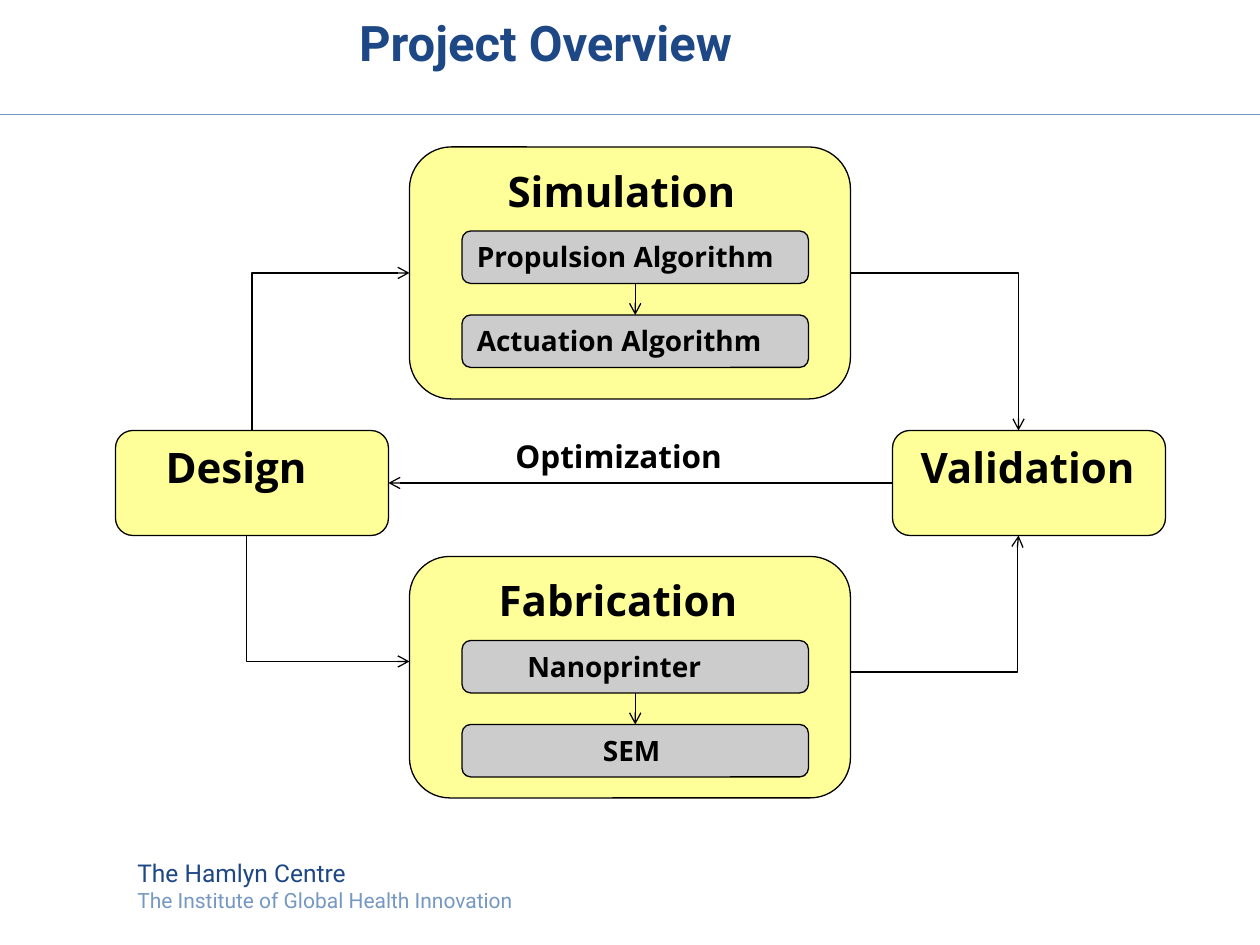
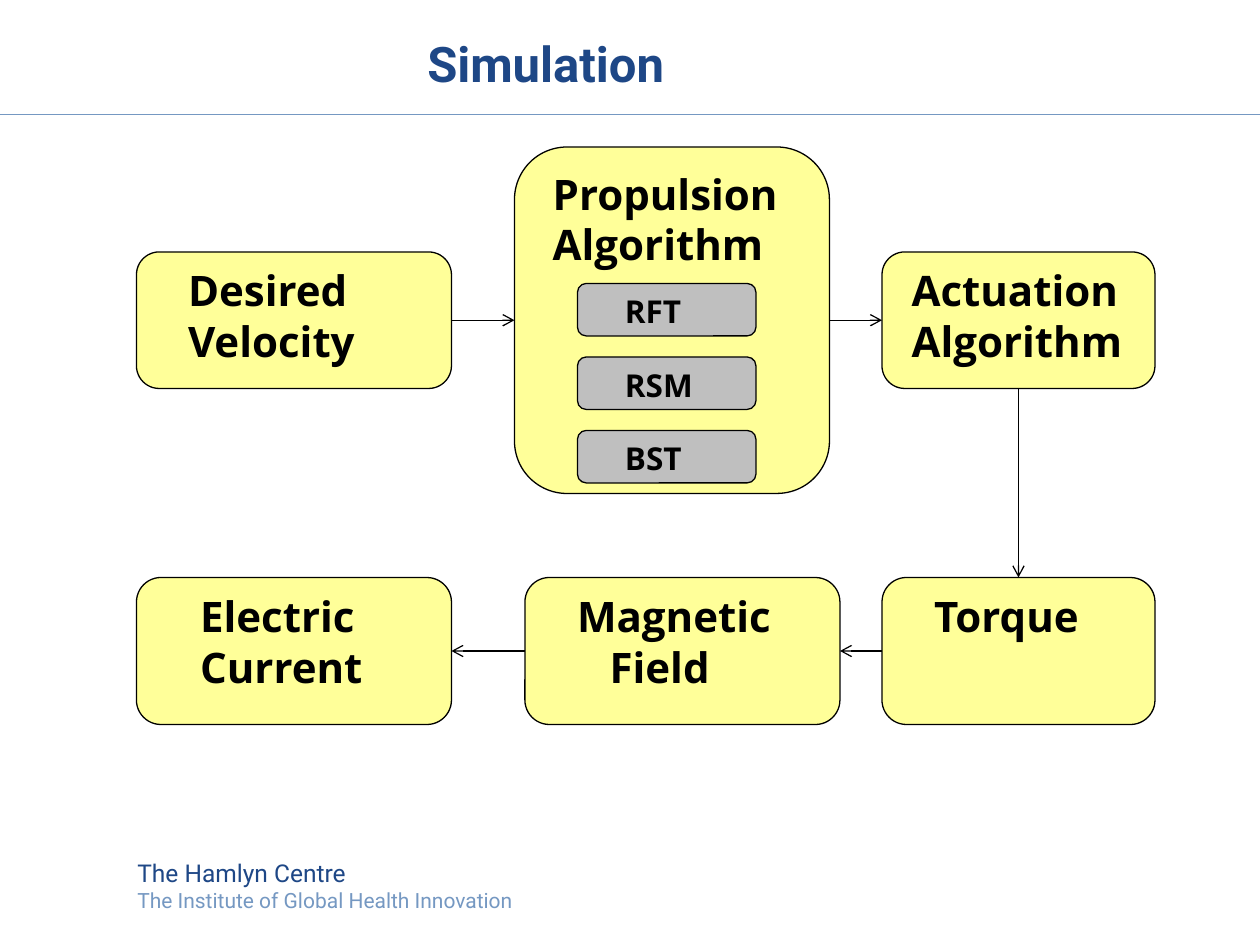
from lxml import etree
from pptx import Presentation
from pptx.dml.color import RGBColor
from pptx.enum.shapes import MSO_CONNECTOR, MSO_SHAPE
from pptx.enum.text import MSO_ANCHOR, MSO_AUTO_SIZE, PP_ALIGN
from pptx.oxml.ns import qn
from pptx.util import Emu, Pt

STRAIGHT, ELBOW = MSO_CONNECTOR.STRAIGHT, MSO_CONNECTOR.ELBOW
ROUNDED = MSO_SHAPE.ROUNDED_RECTANGLE
LEFT, TOP, MIDDLE = PP_ALIGN.LEFT, MSO_ANCHOR.TOP, MSO_ANCHOR.MIDDLE
NO_AUTOFIT = MSO_AUTO_SIZE.NONE

# Shared style
NAVY, SKY, BLACK = "1E4786", "7598C2", "000000"
YELLOW, GREY, MID_GREY = "FFFF99", "CCCCCC", "BFBFBF"
BRAND_FONT, BODY_FONT = "Roboto", "Open Sans"
WIDTH, HEIGHT = 1200, 900


def px(n):
    """120 px to the inch."""
    return Emu(round(n * 7620))


def rgb(color):
    return RGBColor.from_string(color)


class Deck:
    def __init__(self):
        self.prs = Presentation()
        self.prs.slide_width, self.prs.slide_height = px(WIDTH), px(HEIGHT)
        self.s = None

    def style(self, p, size, color, font=BODY_FONT, bold=True, indent=0):
        p.alignment = LEFT
        pPr = p._p.get_or_add_pPr()
        pPr.set("marL", str(px(indent)))
        pPr.set("indent", "0")
        for r in p.runs:
            r.font.name, r.font.size, r.font.bold = font, Pt(size), bold
            r.font.color.rgb = rgb(color)

    def slide(self, title, x, y, indent):
        self.s = self.prs.slides.add_slide(self.prs.slide_layouts[5])
        sp = self.s.shapes.title
        sp.left, sp.top, sp.width, sp.height = px(x), px(y), px(1080), px(80)
        tf = sp.text_frame
        tf.text = title
        tf.vertical_anchor, tf.auto_size = MIDDLE, NO_AUTOFIT
        self.style(tf.paragraphs[0], 28, NAVY, BRAND_FONT, indent=indent)
        self.line(0, 109, WIDTH, 109, SKY, arrow=False)
        self.footer()

    def footer(self):
        tf = self.s.shapes.add_textbox(px(119), px(811), px(391), px(65)).text_frame
        tf.word_wrap = False
        tf.text = "The Hamlyn Centre\nThe Institute of Global Health Innovation"
        for p, size, color in zip(tf.paragraphs, (14, 12), (NAVY, SKY)):
            self.style(p, size, color, BRAND_FONT, bold=False)

    def fill_text(self, sp, text, size, indents):
        """Put one paragraph on each line; the last indent serves all later lines."""
        tf = sp.text_frame
        tf.word_wrap, tf.vertical_anchor = True, TOP
        tf.text = text
        for i, p in enumerate(tf.paragraphs):
            self.style(p, size, BLACK, indent=indents[min(i, len(indents) - 1)])

    def box(self, x, y, w, h, text, *indents, fill=YELLOW, size=24):
        sp = self.s.shapes.add_shape(ROUNDED, px(x), px(y), px(w), px(h))
        sp.shadow.inherit = False
        sp.fill.solid()
        sp.fill.fore_color.rgb = rgb(fill)
        sp.line.color.rgb, sp.line.width = rgb(BLACK), Pt(0.75)
        self.fill_text(sp, text, size, indents)

    def label(self, x, y, w, h, text, indent):
        sp = self.s.shapes.add_textbox(px(x), px(y), px(w), px(h))
        self.fill_text(sp, text, 18, [indent])

    def line(self, x1, y1, x2, y2, color=BLACK, arrow=True, kind=STRAIGHT):
        c = self.s.shapes.add_connector(kind, px(x1), px(y1), px(x2), px(y2))
        c.line.color.rgb, c.line.width = rgb(color), Pt(0.75)
        spPr = c._element.spPr
        if arrow:
            etree.SubElement(spPr.find(qn("a:ln")), qn("a:tailEnd"), type="arrow")
        etree.SubElement(spPr, qn("a:effectLst"))
        return c

    def elbow(self, x1, y1, x2, y2, bend_x):
        c = self.line(x1, y1, x2, y2, kind=ELBOW)
        adj = round((bend_x - x1) / (x2 - x1) * 100000)
        avLst = c._element.spPr.find(qn("a:prstGeom")).get_or_add_avLst()
        etree.SubElement(avLst, qn("a:gd"), name="adj1", fmla=f"val {adj}")


def project_overview(d):
    d.slide("Project Overview", -30, 0, 360)

    # Stages
    d.box(390, 140, 420, 240, "Simulation", 70)
    d.box(390, 530, 420, 230, "Fabrication", 62)
    d.box(110, 410, 260, 100, "Design", 31)
    d.box(850, 410, 260, 100, "Validation", 10)

    # Flow between stages
    d.elbow(240, 410, 390, 260, 240)
    d.elbow(240, 510, 390, 630, 235)
    d.elbow(810, 640, 970, 510, 969)
    d.elbow(810, 260, 970, 410, 970)
    d.line(850, 460, 370, 460)
    d.label(440, 410, 340, 48, "Optimization", 39)

    # Steps inside the two middle stages
    steps = [(220, ("Propulsion Algorithm", 0), ("Actuation Algorithm", 0)),
             (610, ("Nanoprinter", 48), ("SEM", 120))]
    for y, *pair in steps:
        for i, (text, indent) in enumerate(pair):
            d.box(440, y + 80 * i, 330, 50, text, indent, fill=GREY, size=16)
        d.line(605, y + 50, 605, y + 80)


def simulation(d):
    d.slide("Simulation", 0, 20, 395)

    # Upper row, left to right
    d.box(130, 240, 300, 130, "Desired\nVelocity", 31)
    d.box(490, 140, 300, 330, "Propulsion\nAlgorithm", 10)
    d.box(840, 240, 260, 130, "Actuation\nAlgorithm", 10)

    # Lower row, right to left
    d.box(840, 550, 260, 140, "Torque", 31)
    d.box(500, 550, 300, 140, "Magnetic\nField", 31, 62)
    d.box(130, 550, 300, 140, "Electric\nCurrent", 42)

    # Flow
    for x1, y1, x2, y2 in [(430, 305, 490, 305), (790, 305, 840, 305),
                           (970, 370, 970, 550), (840, 620, 800, 620),
                           (500, 620, 430, 620)]:
        d.line(x1, y1, x2, y2)

    # Propulsion methods
    for i, method in enumerate(["RFT", "RSM", "BST"]):
        d.box(550, 270 + 70 * i, 170, 50, method, 31, fill=MID_GREY, size=18)


def main():
    d = Deck()
    project_overview(d)
    simulation(d)
    d.prs.save("out.pptx")


if __name__ == "__main__":
    main()
